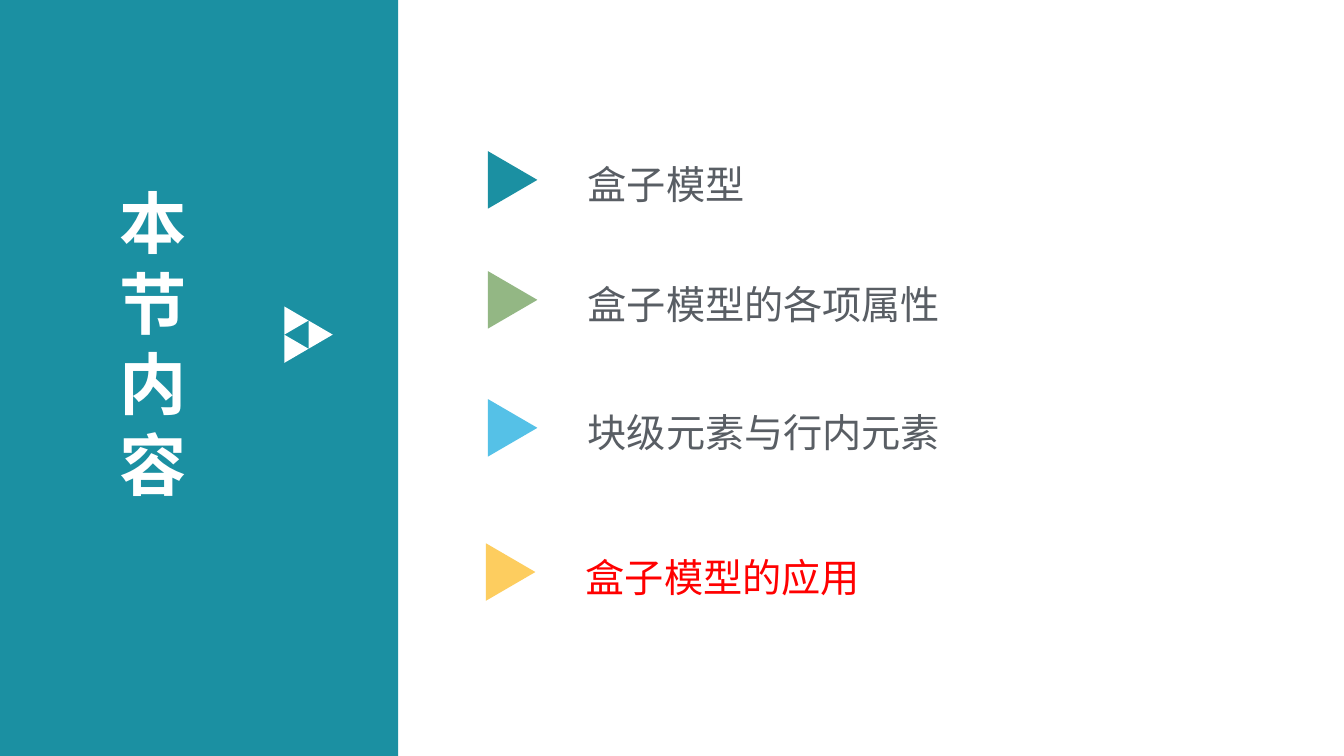
from lxml import etree
from pptx import Presentation
from pptx import util as u
from pptx.dml.color import RGBColor
from pptx.enum import shapes
from pptx.oxml.ns import qn

FONT = "Noto Sans CJK SC"
TEAL, WHITE, GREY, RED = "1B90A2", "FFFFFF", "595E64", "FF0000"
TITLE = "本节内容"
TOPICS = [
    ("盒子模型", TEAL, GREY, 4.8, 1.5),
    ("盒子模型的各项属性", "93B784", GREY, 4.8, 2.69),
    ("块级元素与行内元素", "55C1E7", GREY, 4.8, 3.96),
    ("盒子模型的应用", "FDCD5F", RED, 4.78, 5.39),
]
PANEL_WIDTH = 3.95
MARKER_WIDTH, MARKER_HEIGHT = 0.57, 0.49
MARKER_DROP, TEXT_OFFSET = 0.04, 0.91
ICON_LEFT, ICON_TOP = 2.82, 3.04
ICON_SIDE, ICON_DEPTH = 0.28, 0.24
ICON_CELLS = [(0, 0), (0, 1), (1, 0.5)]


def color(value):
    return RGBColor.from_string(value)


def add_solid(parent, kind, left, top, width, height, fill, rotation=0):
    shape = parent.add_shape(kind, *map(u.Inches, (left, top, width, height)))
    shape.shadow.inherit = False
    shape.fill.solid()
    shape.fill.fore_color.rgb = color(fill)
    shape.line.fill.background()
    shape.rotation = rotation
    return shape


def add_pointer(parent, left, top, side, depth, fill):
    shift = (side - depth) / 2
    return add_solid(parent, shapes.MSO_SHAPE.ISOSCELES_TRIANGLE,
                     left - shift, top + shift, side, depth, fill, 90)


def add_text(slide, lines, left, top, width, height, size, fill, bold=False):
    box = slide.shapes.add_textbox(*map(u.Inches, (left, top, width, height)))
    frame = box.text_frame
    frame.word_wrap = True
    frame.margin_left = frame.margin_right = u.Inches(0.12)
    frame.margin_top = u.Inches(0.06 + size / 800)
    frame.margin_bottom = 0
    frame.text = "\n".join(lines)
    for paragraph in frame.paragraphs:
        paragraph.line_spacing = u.Pt(size * 1.2)
        for run in paragraph.runs:
            run.font.size = u.Pt(size)
            run.font.bold = bold
            run.font.color.rgb = color(fill)
            run.font.name = FONT
            east_asian = etree.SubElement(run._r.get_or_add_rPr(), qn("a:ea"))
            east_asian.set("typeface", FONT)


def main():
    presentation = Presentation()
    presentation.slide_width = u.Inches(13.33)
    presentation.slide_height = u.Inches(7.5)
    slide = presentation.slides.add_slide(presentation.slide_layouts[6])

    add_solid(slide.shapes, shapes.MSO_SHAPE.RECTANGLE, 0, 0, PANEL_WIDTH, 7.5, TEAL)
    add_text(slide, TITLE, 1.07, 1.68, 1.74, 3.35, 48, WHITE, True)

    icon = slide.shapes.add_group_shape()
    for column, row in ICON_CELLS:
        add_pointer(icon.shapes, ICON_LEFT + column * ICON_DEPTH,
                    ICON_TOP + row * ICON_SIDE, ICON_SIDE, ICON_DEPTH, WHITE)

    for topic, marker_color, text_color, left, top in TOPICS:
        marker_left = left + (MARKER_WIDTH - MARKER_HEIGHT) / 2
        marker_top = top + MARKER_DROP - (MARKER_WIDTH - MARKER_HEIGHT) / 2
        add_pointer(slide.shapes, marker_left, marker_top,
                    MARKER_WIDTH, MARKER_HEIGHT, marker_color)
        add_text(slide, [topic], left + TEXT_OFFSET, top, 6.83, 0.59, 28, text_color)

    presentation.save("out.pptx")


if __name__ == "__main__":
    main()
